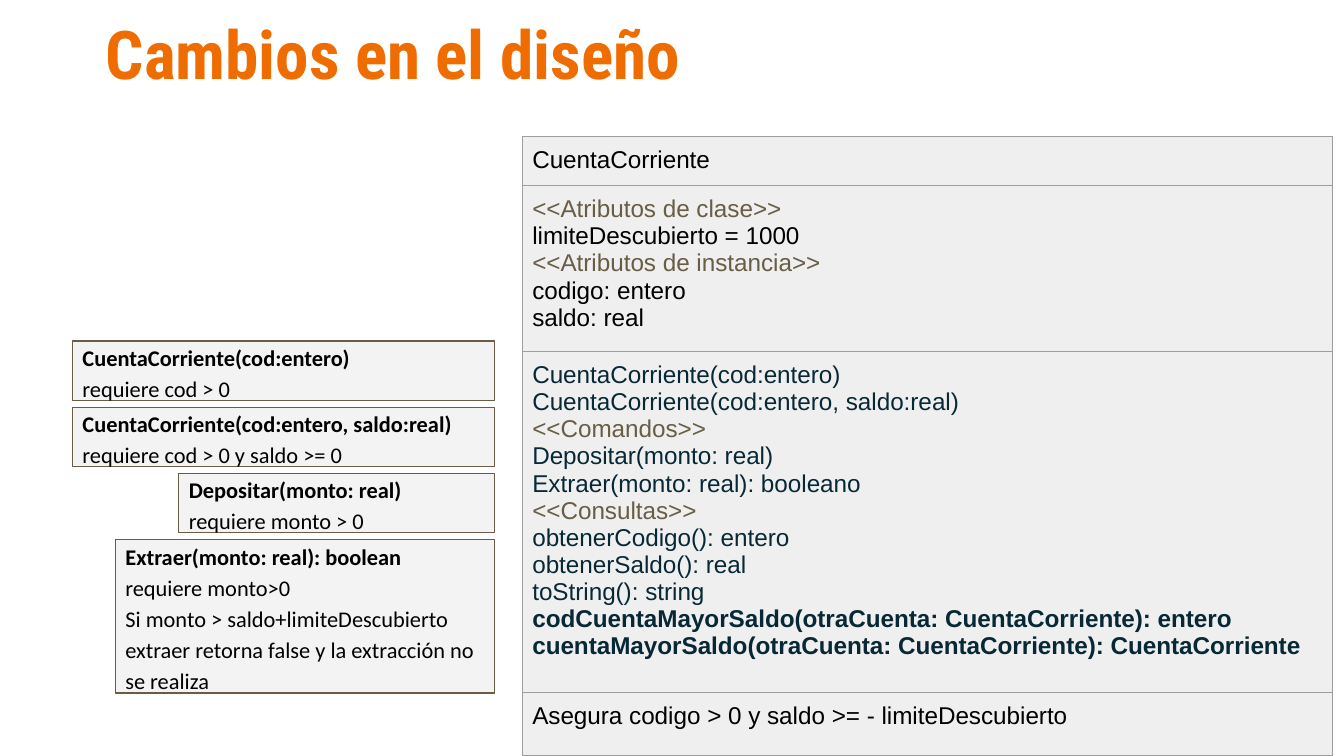
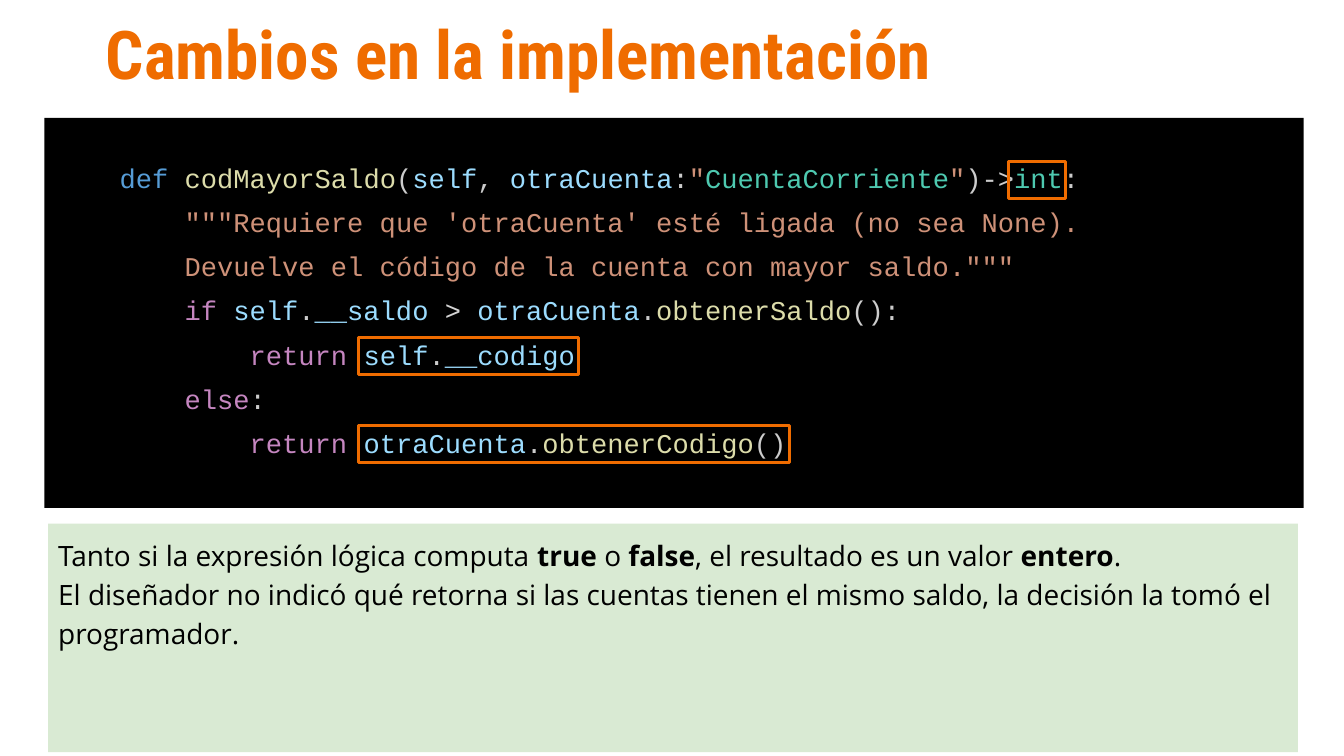
import dataclasses

import lxml.etree
import pptx
import pptx.dml.color
import pptx.enum.shapes
import pptx.enum.text
import pptx.oxml.ns
import pptx.util

Cm, Pt = pptx.util.Cm, pptx.util.Pt
ANCHOR = pptx.enum.text.MSO_ANCHOR


@dataclasses.dataclass(frozen=True)
class Theme:
    # Colours
    accent: str = "EF6C00"
    ink: str = "000000"
    navy: str = "082836"
    brown: str = "695D46"
    cell: str = "EFEFEF"
    border: str = "9E9E9E"
    note: str = "F3F3F3"
    remark: str = "D9EAD3"
    # Code colours
    plain: str = "CCCCCC"
    operator: str = "D4D4D4"
    definition: str = "569CD6"
    function: str = "DCDCAA"
    variable: str = "9CDCFE"
    string: str = "CE9178"
    type_name: str = "4EC9B0"
    keyword: str = "C586C0"
    # Fonts with sizes in points
    title: tuple = ("Roboto Condensed", 36)
    uml: tuple = ("Arial", 13)
    contract: tuple = ("Calibri", 12)
    code: tuple = ("Courier New", 14.5)
    body: tuple = ("Open Sans", 15)


T = Theme()
INSET = 0.19
LINE = 0.75

# Class diagram: minimum height and (text, colour, bold) lines per compartment
COMPARTMENTS = [
    (0.9, [("CuentaCorriente", T.ink, False)]),
    (2.84, [("<<Atributos de clase>>", T.brown, False),
            ("limiteDescubierto = 1000", T.ink, False),
            ("<<Atributos de instancia>>", T.brown, False),
            ("codigo: entero", T.ink, False),
            ("saldo: real", T.ink, False)]),
    (5.9, [("CuentaCorriente(cod:entero)", T.navy, False),
           ("CuentaCorriente(cod:entero, saldo:real)", T.navy, False),
           ("<<Comandos>>", T.brown, False),
           ("Depositar(monto: real)", T.navy, False),
           ("Extraer(monto: real): booleano", T.navy, False),
           ("<<Consultas>>", T.brown, False),
           ("obtenerCodigo(): entero", T.navy, False),
           ("obtenerSaldo(): real", T.navy, False),
           ("toString(): string", T.navy, False),
           ("codCuentaMayorSaldo(otraCuenta: CuentaCorriente): entero", T.navy, True),
           ("cuentaMayorSaldo(otraCuenta: CuentaCorriente): CuentaCorriente", T.navy, True)]),
    (1.2, [("Asegura codigo > 0 y saldo >= - limiteDescubierto", T.ink, False)]),
]

# Contracts: width, height, signature, conditions
CONTRACTS = [
    (7.98, 1.12, "CuentaCorriente(cod:entero)", ["requiere cod > 0"]),
    (7.98, 1.12, "CuentaCorriente(cod:entero, saldo:real)", ["requiere cod > 0 y saldo >= 0"]),
    (5.97, 1.12, "Depositar(monto: real)", ["requiere monto > 0"]),
    (7.17, 2.9, "Extraer(monto: real): boolean",
     ["requiere monto>0",
      "Si monto > saldo+limiteDescubierto extraer retorna false y la extracción no se realiza"]),
]

# Code: indent level, then (text, colour) pieces
CODE = [
    (1, [("def ", T.definition), ("codMayorSaldo", T.function), ("(", T.plain),
         ("self", T.variable), (", ", T.plain), ("otraCuenta", T.variable), (":", T.plain),
         ('"', T.string), ("CuentaCorriente", T.type_name), ('"', T.string),
         (")->", T.plain), ("int", T.type_name), (":", T.plain)]),
    (2, [("\"\"\"Requiere que 'otraCuenta' esté ligada (no sea None).", T.string)]),
    (2, [('Devuelve el código de la cuenta con mayor saldo."""', T.string)]),
    (2, [("if ", T.keyword), ("self", T.variable), (".", T.plain), ("__saldo ", T.variable),
         ("> ", T.operator), ("otraCuenta", T.variable), (".", T.plain),
         ("obtenerSaldo", T.function), ("():", T.plain)]),
    (3, [("return ", T.keyword), ("self", T.variable), (".", T.plain),
         ("__codigo", T.variable)]),
    (2, [("else", T.keyword), (":", T.plain)]),
    (3, [("return ", T.keyword), ("otraCuenta", T.variable), (".", T.plain),
         ("obtenerCodigo", T.function), ("()", T.plain)]),
]

# Highlighted code: row and the words to frame
HIGHLIGHTS = [(0, "int"), (4, "self.__codigo"), (6, "otraCuenta.obtenerCodigo()")]
INDENT = "    "
CHAR_WIDTH = Pt(0.6 * T.code[1]).cm
ROW_PITCH = 0.83
FIRST_ROW = 1.18

REMARK = [
    [("Tanto si la expresión lógica computa ", False), ("true ", True), ("o ", False),
     ("false", True), (", el resultado es un valor ", False), ("entero", True), (".", False)],
    [("El diseñador no indicó qué retorna si las cuentas tienen el mismo saldo, "
      "la decisión la tomó el programador.", False)],
]


def rgb(colour):
    return pptx.dml.color.RGBColor.from_string(colour)


def set_frame(tf, anchor=ANCHOR.TOP, top=INSET, bottom=INSET):
    tf.word_wrap = True
    tf.vertical_anchor = anchor
    tf.margin_left = tf.margin_right = Cm(INSET)
    tf.margin_top, tf.margin_bottom = Cm(top), Cm(bottom)


def write(tf, lines, font, spacing=None):
    """Fill a frame with lines, each a list of (text, colour, bold) runs."""
    name, size = font
    for i, line in enumerate(lines):
        p = tf.paragraphs[0] if i == 0 else tf.add_paragraph()
        p.alignment = pptx.enum.text.PP_ALIGN.LEFT
        if spacing:
            p.line_spacing = spacing
        for text, colour, bold in line:
            r = p.add_run()
            r.text = text
            r.font.name, r.font.size, r.font.bold = name, Pt(size), bold
            r.font.color.rgb = rgb(colour)


def add_rect(slide, box, fill=None, line=None, width=LINE):
    sp = slide.shapes.add_shape(pptx.enum.shapes.MSO_SHAPE.RECTANGLE, *map(Cm, box))
    sp.shadow.inherit = False
    if fill:
        sp.fill.solid()
        sp.fill.fore_color.rgb = rgb(fill)
    else:
        sp.fill.background()
    if line:
        sp.line.color.rgb = rgb(line)
        sp.line.width = Pt(width)
    else:
        sp.line.fill.background()
    return sp


def add_title(slide, text):
    tf = slide.shapes.add_textbox(Cm(1.81), 0, Cm(21.9), Cm(2.2)).text_frame
    set_frame(tf, ANCHOR.MIDDLE, 0.1, 0.1)
    write(tf, [[(text, T.accent, True)]], T.title, 0.9)


def set_borders(cell, colour):
    tc_pr = cell._tc.get_or_add_tcPr()
    for i, side in enumerate(("a:lnL", "a:lnR", "a:lnT", "a:lnB")):
        ln = lxml.etree.Element(pptx.oxml.ns.qn(side), w=str(Pt(LINE)))
        fill = lxml.etree.SubElement(ln, pptx.oxml.ns.qn("a:solidFill"))
        lxml.etree.SubElement(fill, pptx.oxml.ns.qn("a:srgbClr"), val=colour)
        tc_pr.insert(i, ln)


def add_class_diagram(slide, left, top, width):
    height = sum(h for h, _ in COMPARTMENTS)
    table = slide.shapes.add_table(len(COMPARTMENTS), 1, Cm(left), Cm(top),
                                   Cm(width), Cm(height)).table
    table.first_row = table.horz_banding = False
    for i, (row_height, lines) in enumerate(COMPARTMENTS):
        table.rows[i].height = Cm(row_height)
        cell = table.cell(i, 0)
        cell.fill.solid()
        cell.fill.fore_color.rgb = rgb(T.cell)
        set_borders(cell, T.border)
        cell.margin_left = cell.margin_right = Cm(INSET)
        cell.margin_top = cell.margin_bottom = Cm(INSET)
        write(cell.text_frame, [[line] for line in lines], T.uml)


def add_contracts(slide, right, top, gap):
    """Stack the contract notes against a shared right edge."""
    for width, height, signature, conditions in CONTRACTS:
        sp = add_rect(slide, (right - width, top, width, height), T.note, T.brown)
        set_frame(sp.text_frame, ANCHOR.MIDDLE)
        lines = [[(signature, T.ink, True)]] + [[(c, T.ink, False)] for c in conditions]
        write(sp.text_frame, lines, T.contract, 1.15)
        top += height + gap


def add_code_panel(slide, left, top, width, height):
    sp = add_rect(slide, (left, top, width, height), T.ink)
    set_frame(sp.text_frame, top=0.6, bottom=0.1)
    lines = [[(INDENT * level, T.plain, False)] + [(text, colour, False) for text, colour in pieces]
             for level, pieces in CODE]
    write(sp.text_frame, lines, T.code, 1.36)


def add_highlights(slide, left, top, height=0.7, pad=0.08):
    """Frame words of the code by their row and column in the panel."""
    for row, words in HIGHLIGHTS:
        level, pieces = CODE[row]
        column = (INDENT * level + "".join(text for text, _ in pieces)).rindex(words)
        x = left + INSET + column * CHAR_WIDTH - pad
        y = top + FIRST_ROW + row * ROW_PITCH - height / 2
        add_rect(slide, (x, y, len(words) * CHAR_WIDTH + 2 * pad, height),
                 line=T.accent, width=1.5)


def add_remark(slide, box):
    sp = add_rect(slide, box, T.remark)
    set_frame(sp.text_frame)
    lines = [[(text, T.ink, bold) for text, bold in line] for line in REMARK]
    write(sp.text_frame, lines, T.body, 1.15)


def build_design(slide):
    add_title(slide, "Cambios en el diseño")
    add_class_diagram(slide, 9.87, 2.58, 15.32)
    add_contracts(slide, right=9.35, top=6.45, gap=0.13)


def build_implementation(slide):
    add_title(slide, "Cambios en la implementación")
    left, top = 0.84, 2.23
    add_code_panel(slide, left, top, 23.8, 7.37)
    add_remark(slide, (0.91, 9.9, 23.62, 4.32))
    add_highlights(slide, left, top)


def main():
    prs = pptx.Presentation()
    prs.slide_width, prs.slide_height = Cm(25.4), Cm(14.29)
    for build in (build_design, build_implementation):
        build(prs.slides.add_slide(prs.slide_layouts[6]))
    prs.save("out.pptx")


if __name__ == "__main__":
    main()
